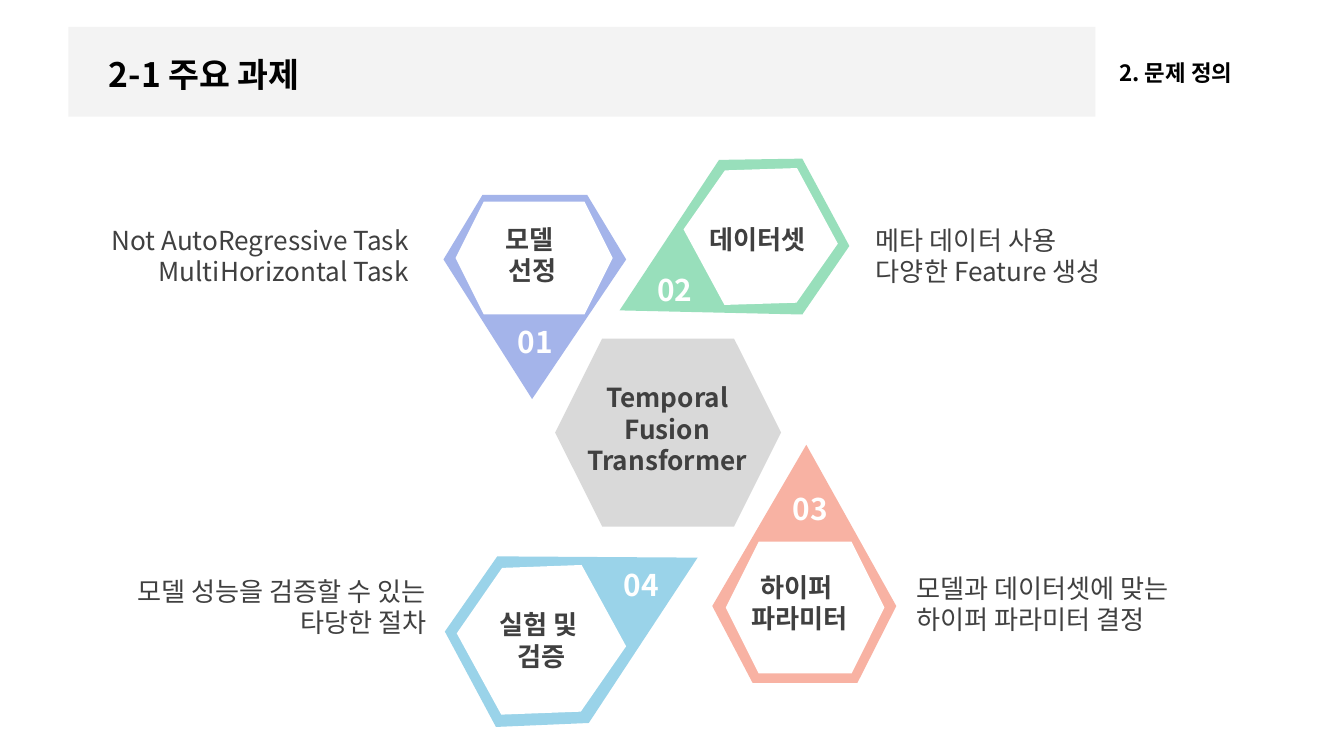
from lxml import etree
from pptx import Presentation
from pptx import util as u
from pptx.dml.color import RGBColor
from pptx.enum import shapes, text
from pptx.oxml import ns

FONT = "Noto Sans CJK KR"
WHITE = RGBColor(0xFF, 0xFF, 0xFF)
BLACK = RGBColor(0x00, 0x00, 0x00)
DARK = RGBColor(0x40, 0x40, 0x40)
GRAY = RGBColor(0xD9, 0xD9, 0xD9)
PALE = RGBColor(0xF3, 0xF3, 0xF3)
BLUE = RGBColor(0xA4, 0xB4, 0xEA)
GREEN = RGBColor(0x98, 0xDF, 0xBB)
CORAL = RGBColor(0xF8, 0xB2, 0xA3)
SKY = RGBColor(0x9A, 0xD3, 0xE9)

LEFT, MID, RIGHT = text.PP_ALIGN.LEFT, text.PP_ALIGN.CENTER, text.PP_ALIGN.RIGHT
HEX = shapes.MSO_SHAPE.HEXAGON
RECT = shapes.MSO_SHAPE.RECTANGLE


class Deck:
    def __init__(self, slide):
        self.slide = slide
        self.items = slide.shapes

    def paint(self, shape, color):
        shape.shadow.inherit = False
        shape.fill.solid()
        shape.fill.fore_color.rgb = color
        shape.line.fill.background()
        return shape

    def block(self, kind, box, color, turn=0):
        shape = self.items.add_shape(kind, *map(u.Pt, box))
        shape.rotation = turn
        return self.paint(shape, color)

    def drop(self, points, color):
        start, *rest = [(u.Pt(x), u.Pt(y)) for x, y in points]
        pen = self.items.build_freeform(*start)
        pen.add_line_segments(rest, close=True)
        return self.paint(pen.convert_to_shape(), color)

    def fill_text(self, shape, lines, size, color, bold, align, wrap=True,
                  anchor=text.MSO_ANCHOR.TOP):
        frame = shape.text_frame
        frame.word_wrap = wrap
        frame.auto_size = text.MSO_AUTO_SIZE.SHAPE_TO_FIT_TEXT
        frame.vertical_anchor = anchor
        for i, line in enumerate(lines):
            para = frame.add_paragraph() if i else frame.paragraphs[0]
            para.alignment = align
            run = para.add_run()
            run.text = line
            font = run.font
            font.name, font.size, font.bold = FONT, u.Pt(size), bold
            font.color.rgb = color
            east = etree.SubElement(run._r.get_or_add_rPr(), ns.qn("a:ea"))
            east.set("typeface", FONT)

    def label(self, box, lines, size=14, color=DARK, bold=True, align=MID, **more):
        shape = self.items.add_textbox(*map(u.Pt, box))
        self.fill_text(shape, lines, size, color, bold, align, **more)

    def title(self, box, line, back):
        shape = self.items.title
        shape.left, shape.top, shape.width, shape.height = map(u.Pt, box)
        back.element.addnext(shape.element)
        self.fill_text(shape, [line], 18, BLACK, True, LEFT)


TASKS = [
    ("01", BLUE,
     [(258.5, 104.4), (314.6, 104.4), (335.5, 139), (285.1, 213.8), (237.6, 139)],
     (244.1, 108, 84.2, 60.5), 0, (268.6, 169.9, 34.6, 26.6),
     (247, 115.9, 76.3, 41), ["모델 ", "선정"],
     (-5, 116.6, 231.1, 41), ["Not AutoRegressive Task", "MultiHorizontal Task"], RIGHT),
    ("02", GREEN,
     [(429.8, 85), (455, 131.8), (429.8, 168.5), (331.9, 166.3), (385.2, 85.7)],
     (367.2, 92.2, 80.6, 69.1), 61.6, (342.7, 141.8, 35.3, 26.6),
     (367.9, 115.9, 76.3, 24.5), ["데이터셋"],
     (462.2, 116.6, 169.9, 41), ["메타 데이터 사용", "다양한 Feature 생성"], LEFT),
    ("03", CORAL,
     [(459.4, 365.8), (403.2, 365.8), (381.6, 324.7), (432, 238.3), (480.2, 324.7)],
     (388.8, 290.2, 85, 70.6), 180, (415.4, 259.2, 35.3, 26.6),
     (388.1, 302.4, 80.6, 41), ["하이퍼 ", "파라미터"],
     (483.8, 303.1, 209.5, 41), ["모델과 데이터셋에 맞는", "하이퍼 파라미터 결정"], LEFT),
    ("04", SKY,
     [(265.7, 389.5), (238.3, 338.4), (266.4, 298.1), (373.7, 298.8), (315.4, 387.4)],
     (246.2, 304.6, 87.8, 76.3), 241.3, (323.3, 300.2, 36.7, 26.6),
     (243.4, 322.6, 93.6, 41), ["실험 및 ", "검증"],
     (35.3, 304.6, 200.2, 41), ["모델 성능을 검증할 수 있는 타당한 절차"], RIGHT),
]


def main():
    prs = Presentation()
    prs.slide_width, prs.slide_height = u.Pt(720), u.Pt(405)
    deck = Deck(prs.slides.add_slide(prs.slide_layouts[5]))

    bar = deck.block(RECT, (36.7, 14.4, 550.1, 48.2), PALE)
    deck.title((51.1, 25.2, 360, 28.8), "2-1 주요 과제", bar)
    deck.label((592.6, 28.1, 80.6, 21.6), ["2. 문제 정의"], 12, BLACK, align=LEFT,
               wrap=False, anchor=text.MSO_ANCHOR.MIDDLE)

    deck.block(HEX, (297.4, 181.4, 121, 100.8), GRAY)
    deck.label((305.3, 200.9, 104.4, 58.3), ["Temporal", "Fusion", "Transformer"])

    for num, color, rim, core, turn, spot, place, name, side, note, align in TASKS:
        deck.drop(rim, color)
        deck.block(HEX, core, WHITE, turn)
        deck.label(spot, [num], 16, WHITE, align=RIGHT, wrap=False)
        deck.label(place, name)
        deck.label(side, note, bold=False, align=align)

    prs.save("out.pptx")


if __name__ == "__main__":
    main()
